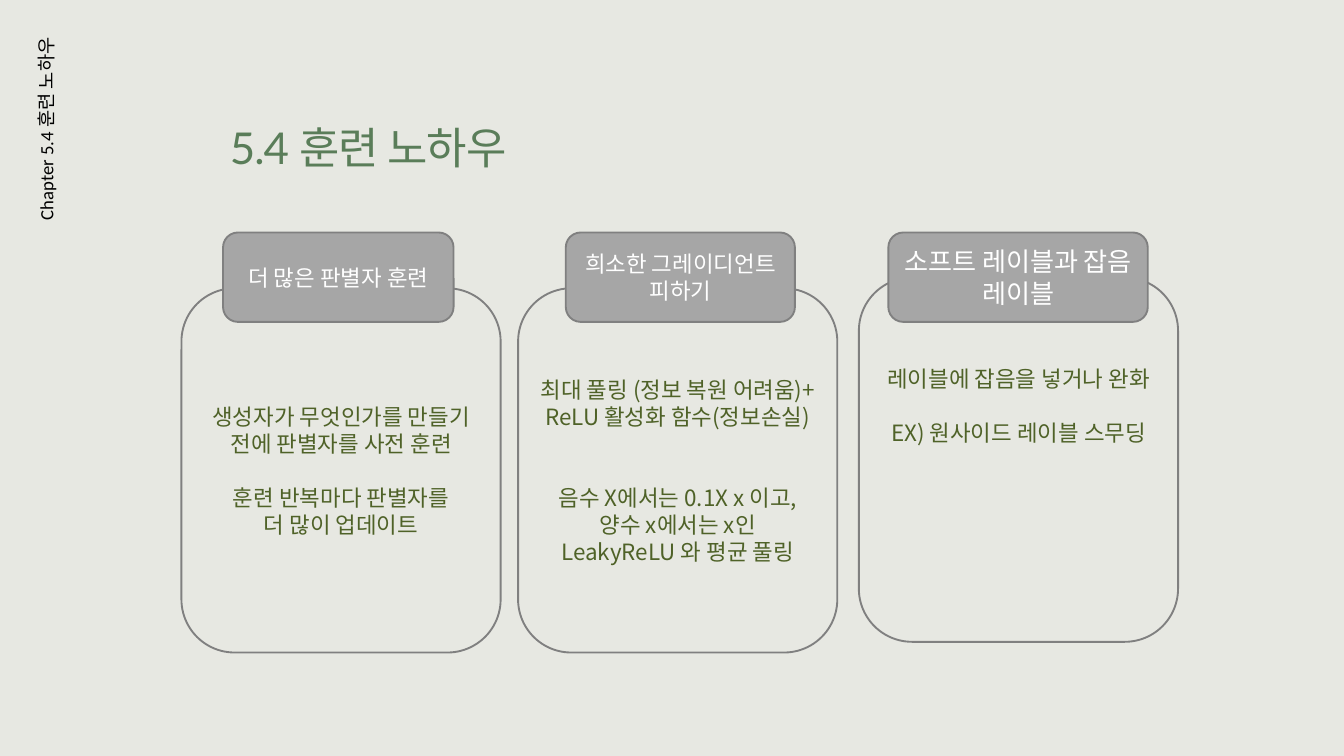
from pptx import Presentation
from pptx.dml.color import RGBColor
from pptx.enum.shapes import MSO_SHAPE
from pptx.enum.text import MSO_ANCHOR, MSO_AUTO_SIZE, PP_ALIGN
from pptx.oxml.ns import qn
from pptx.util import Pt
from lxml import etree

ROUND_RECT = MSO_SHAPE.ROUNDED_RECTANGLE
TOP, MIDDLE = MSO_ANCHOR.TOP, MSO_ANCHOR.MIDDLE
LEFT, CENTER, RIGHT = PP_ALIGN.LEFT, PP_ALIGN.CENTER, PP_ALIGN.RIGHT

PAPER = RGBColor(0xE7, 0xE8, 0xE2)
GREEN = RGBColor(0x5A, 0x7D, 0x59)
OLIVE = RGBColor(0x4F, 0x62, 0x28)
GRAY = RGBColor(0xA6, 0xA6, 0xA6)
OUTLINE = RGBColor(0x80, 0x80, 0x80)
WHITE = RGBColor(0xFF, 0xFF, 0xFF)
BLACK = RGBColor(0, 0, 0)

KOREAN = "Noto Sans CJK KR"
LINE = 1.2
BODY_SIZE = 24
CARD_W, CARD_H = 342, 390.25
TAB_TOP, TAB_H = 249.1, 95.8

# card left, card top, tab left, tab width, tab size, tab text,
# paragraphs, blank lines between paragraphs, blank lines below
COLUMNS = [
    (194.4, 308.9, 239, 247, 24, "더 많은 판별자 훈련",
     [("생성자가 무엇인가를 만들기 전에 판별자를 사전 훈련", 0),
      ("훈련 반복마다 판별자를", 1),
      ("더 많이 업데이트", 0)], 0),
    (555.1, 308.9, 606.2, 245.5, 24, "희소한 그레이디언트 피하기",
     [("최대 풀링 (정보 복원 어려움)+ ReLU 활성화 함수(정보손실)", 0),
      ("음수 X에서는 0.1X x 이고, 양수 x에서는 x인 LeakyReLU 와 평균 풀링", 2)], 0),
    (920.2, 297.4, 951.8, 278, 28, "소프트 레이블과 잡음 레이블",
     [("레이블에 잡음을 넣거나 완화", 0),
      ("EX) 원사이드 레이블 스무딩", 1)], 4),
]


def write(tf, paragraphs, size, color, font=KOREAN, align=CENTER, anchor=MIDDLE):
    tf.word_wrap = True
    tf.auto_size = MSO_AUTO_SIZE.NONE
    tf.vertical_anchor = anchor
    tf.text = "\n".join(text for text, gap in paragraphs)
    for p, (text, gap) in zip(tf.paragraphs, paragraphs):
        p.alignment = align
        p.line_spacing = Pt(size * LINE)
        p.space_before = Pt(gap * size * LINE)
        r = p.runs[0]
        r.font.size = Pt(size)
        r.font.name = font
        r.font.color.rgb = color
        etree.SubElement(r.font._element, qn("a:ea"), typeface=KOREAN)


def add_round_box(s, left, top, width, height, fill=None):
    sp = s.shapes.add_shape(ROUND_RECT, Pt(left), Pt(top), Pt(width), Pt(height))
    sp.shadow.inherit = False
    if fill is None:
        sp.fill.background()
    else:
        sp.fill.solid()
        sp.fill.fore_color.rgb = fill
    sp.line.color.rgb = OUTLINE
    sp.line.width = Pt(2)
    return sp


def add_title(s, left, top, width, height):
    sp = s.shapes.title
    sp.left, sp.top, sp.width, sp.height = Pt(left), Pt(top), Pt(width), Pt(height)
    write(sp.text_frame, [("5.4 훈련 노하우", 0)], 47, GREEN, "Lato", LEFT, TOP)
    sp.text_frame.paragraphs[0].runs[0].font._element.set("spc", "-100")


def add_chapter_label(s, left, top, width, height):
    sp = s.shapes.add_textbox(Pt(left), Pt(top), Pt(width), Pt(height))
    sp.rotation = 270
    write(sp.text_frame, [("Chapter 5.4 훈련 노하우", 0)], 20, BLACK, "Calibri", RIGHT, TOP)


def add_column(s, left, top, tab_left, tab_width, tab_size, heading, paragraphs, lines_below):
    card = add_round_box(s, left, top, CARD_W, CARD_H)
    write(card.text_frame, paragraphs, BODY_SIZE, OLIVE)
    card.text_frame.margin_bottom = Pt(3.6 + lines_below * BODY_SIZE * LINE)
    tab = add_round_box(s, tab_left, TAB_TOP, tab_width, TAB_H, GRAY)
    write(tab.text_frame, [(heading, 0)], tab_size, WHITE)


def main():
    prs = Presentation()
    prs.slide_width, prs.slide_height = Pt(1440), Pt(810)
    s = prs.slides.add_slide(prs.slide_layouts[5])
    s.background.fill.solid()
    s.background.fill.fore_color.rgb = PAPER
    add_title(s, 239, 126, 650, 64)
    add_chapter_label(s, -124.6, 191.5, 372.2, 55.4)
    for column in COLUMNS:
        add_column(s, *column)
    prs.save("out.pptx")


if __name__ == "__main__":
    main()
